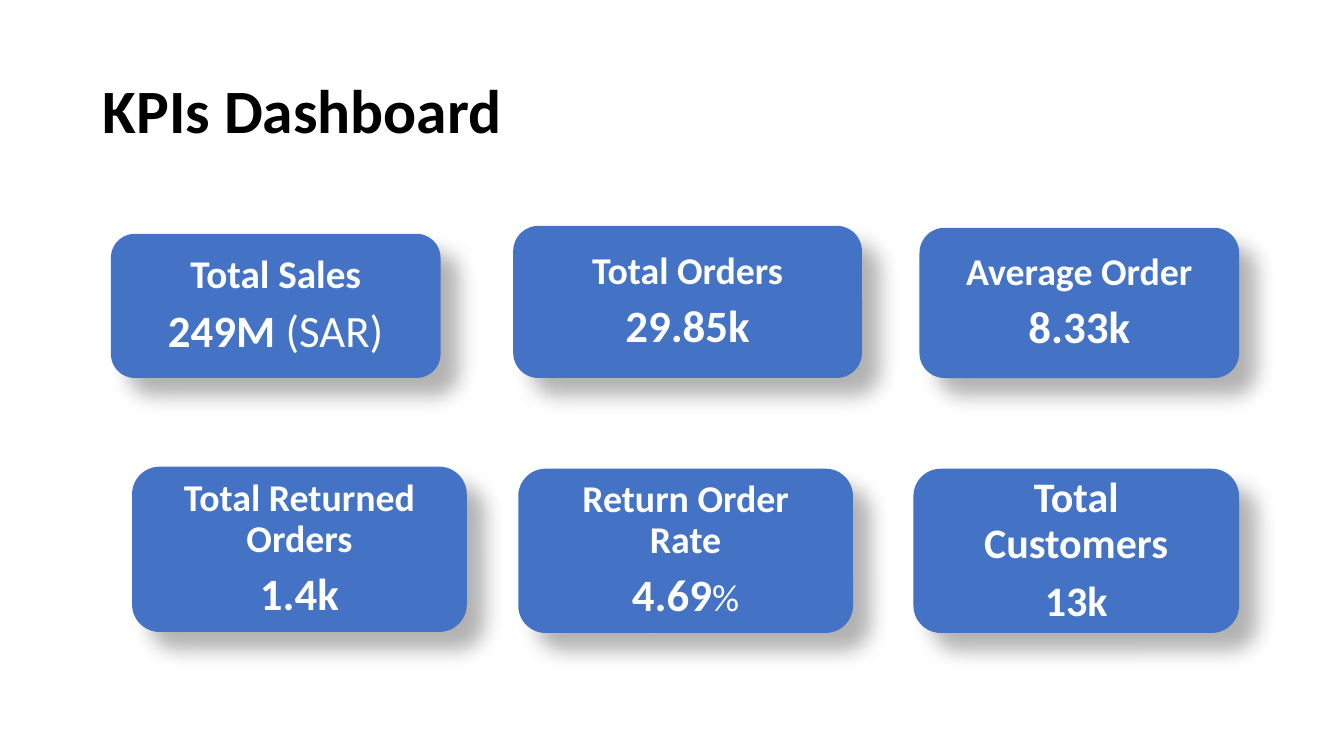
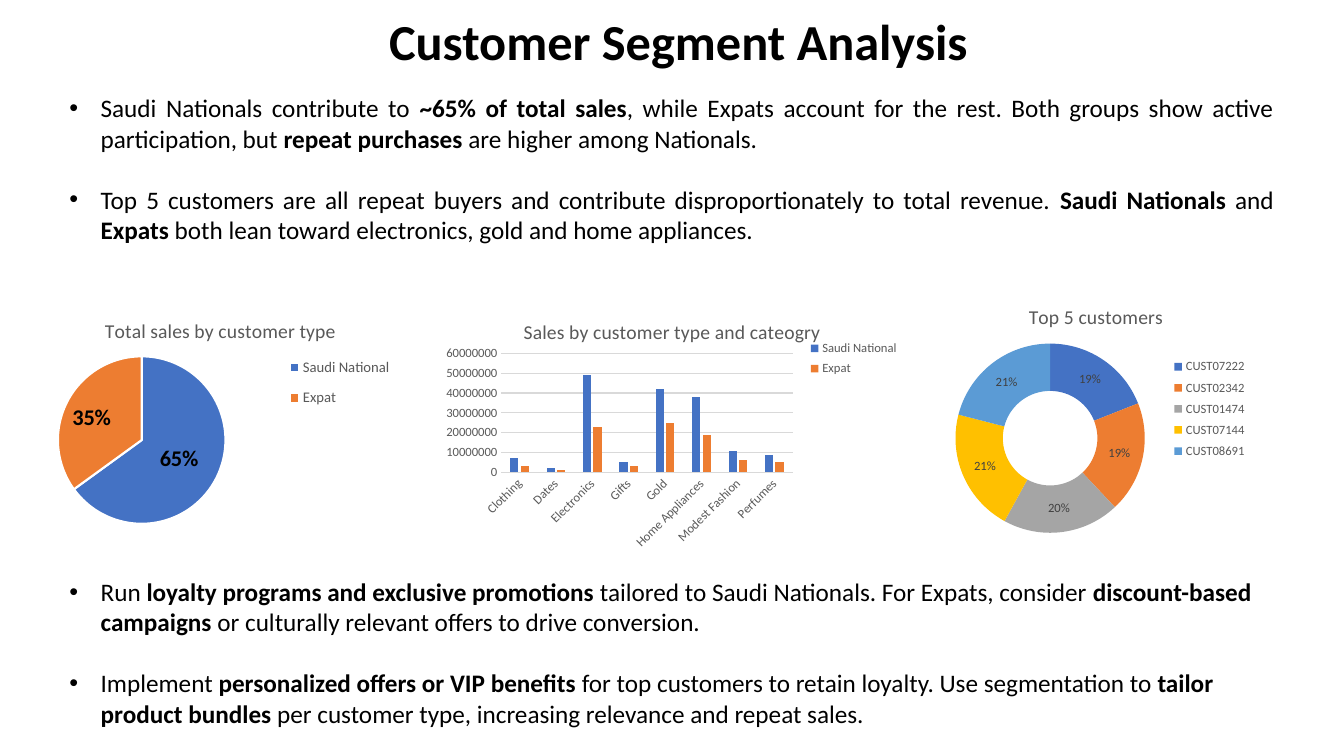
from lxml import etree
from pptx import Presentation
from pptx.chart.data import CategoryChartData
from pptx.dml.color import RGBColor
from pptx.enum.chart import XL_CHART_TYPE, XL_LABEL_POSITION, XL_LEGEND_POSITION, XL_TICK_MARK
from pptx.enum.shapes import MSO_SHAPE
from pptx.enum.text import MSO_ANCHOR, MSO_AUTO_SIZE, PP_ALIGN
from pptx.oxml import parse_xml
from pptx.oxml.ns import nsdecls, qn
from pptx.util import Inches, Pt

PIE, COLUMN, DOUGHNUT = XL_CHART_TYPE.PIE, XL_CHART_TYPE.COLUMN_CLUSTERED, XL_CHART_TYPE.DOUGHNUT
LEFT, CENTER, JUSTIFY = PP_ALIGN.LEFT, PP_ALIGN.CENTER, PP_ALIGN.JUSTIFY
MIDDLE, TOP, NO_FIT = MSO_ANCHOR.MIDDLE, MSO_ANCHOR.TOP, MSO_AUTO_SIZE.NONE
ROUNDED = MSO_SHAPE.ROUNDED_RECTANGLE
LABEL_CENTER, LABEL_END = XL_LABEL_POSITION.CENTER, XL_LABEL_POSITION.INSIDE_END
LEGEND_RIGHT, NO_TICK = XL_LEGEND_POSITION.RIGHT, XL_TICK_MARK.NONE

# Shared look
FONT = "Calibri"
BLACK, WHITE, GREY, DARK, GRID = "000000", "FFFFFF", "595959", "404040", "D9D9D9"
BLUE = "4472C4"
PALETTE = [BLUE, "ED7D31", "A5A5A5", "FFC000", "5B9BD5"]

# Slide 1: place, label, label size, then (text, size, bold) for the value
CARDS = [
    ((1.1, 2.32, 3.27, 1.43), "Total Sales", 28, [("249M", 32, True), (" (SAR)", 32, False)]),
    ((5.09, 2.24, 3.46, 1.51), "Total Orders", 27, [("29.85k", 32, True)]),
    ((9.12, 2.26, 3.17, 1.49), "Average Order", 27, [("8.33k", 32, True)]),
    ((1.31, 4.63, 3.32, 1.64), "Total Returned Orders", 27, [("1.4k", 32, True)]),
    ((5.14, 4.65, 3.32, 1.63), "Return Order Rate", 27, [("4.69", 32, True), ("%", 27, False)]),
    ((9.06, 4.65, 3.23, 1.63), "Total Customers", 30, [("13k", 30, True)]),
]

# Slide 2: bullets as runs, every second run bold
FINDINGS = [
    ["Saudi Nationals contribute to ", "~65% of total sales",
     ", while Expats account for the rest. Both groups show active participation, but ",
     "repeat purchases", " are higher among Nationals."],
    ["Top 5 customers are all repeat buyers and contribute disproportionately to total revenue. ",
     "Saudi Nationals", " and ", "Expats",
     " both lean toward electronics, gold and home appliances."],
]
ACTIONS = [
    ["Run ", "loyalty programs and exclusive promotions",
     " tailored to Saudi Nationals. For Expats, consider ", "discount-based campaigns",
     " or culturally relevant offers to drive conversion."],
    ["Implement ", "personalized offers or VIP benefits",
     " for top customers to retain loyalty. Use segmentation to ", "tailor product bundles",
     " per customer type, increasing relevance and repeat sales."],
]

# Charts: layouts are fractions of the chart (left, top, width, height)
SALES_SHARE = {
    "kind": PIE, "place": (0.35, 2.94, 3.64, 2.48), "title": "Total sales by customer type",
    "categories": ["Saudi National", "Expat"], "series": [("Series 1", [65, 35])],
    "title_at": (0.18, 0.07), "plot": (0.06, 0.24, 0.46, 0.67),
    "legend": (0.68, 0.2, 0.3, 0.29), "legend_size": 10.5,
}
CATEGORY_SALES = {
    "kind": COLUMN, "place": (4.32, 2.94, 4.66, 2.57),
    "title": "Sales by customer type and cateogry",
    "categories": ["Clothing", "Dates", "Electronics", "Gifts", "Gold", "Home Appliances",
                   "Modest Fashion", "Perfumes"],
    "series": [("Saudi National", [millions * 10**6 for millions in (7, 2, 49, 5, 42, 38, 11, 9)]),
               ("Expat", [millions * 10**6 for millions in (3, 1, 23, 3, 25, 19, 6, 5)])],
    "title_at": (0.18, 0.07), "plot": (0.14, 0.22, 0.62, 0.46),
    "legend": (0.78, 0.15, 0.22, 0.18), "legend_size": 9,
}
TOP_CUSTOMERS = {
    "kind": DOUGHNUT, "place": (8.39, 2.79, 4.94, 2.64), "title": "Top 5 customers",
    "categories": ["CUST07222", "CUST02342", "CUST01474", "CUST07144", "CUST08691"],
    "series": [("Series 1", [19, 19, 20, 21, 21])],
    "title_at": (0.36, 0.07), "plot": (0.22, 0.23, 0.38, 0.72),
    "legend": (0.64, 0.27, 0.18, 0.42), "legend_size": 9,
}


def color(value):
    return RGBColor.from_string(value)


def inches(values):
    return [Inches(value) for value in values]


def apply(target, values):
    for name, value in values.items():
        setattr(target, name, value)


def style(font, size, text_color, bold=False):
    apply(font, {"name": FONT, "size": Pt(size), "bold": bold})
    font.color.rgb = color(text_color)


def add_span(para, text, size, text_color, bold=False):
    span = para.add_run()
    span.text = text
    style(span.font, size, text_color, bold)


def add_page(deck, title, place, size, align):
    page = deck.slides.add_slide(deck.slide_layouts[5])
    box = page.shapes.title
    apply(box, dict(zip(("left", "top", "width", "height"), inches(place))))
    apply(box.text_frame, {"vertical_anchor": MIDDLE, "auto_size": NO_FIT, "word_wrap": True})
    para = box.text_frame.paragraphs[0]
    apply(para, {"alignment": align, "line_spacing": 0.9})
    add_span(para, title, size, BLACK, True)
    return page


def add_card(page, place, label, label_size, value):
    card = page.shapes.add_shape(ROUNDED, *inches(place))
    card.fill.solid()
    card.fill.fore_color.rgb = color(BLUE)
    card.line.fill.background()
    # Soft shadow to the lower right
    card._element.spPr.append(parse_xml(
        f'<a:effectLst {nsdecls("a")}><a:outerShdw blurRad="{Pt(15)}" dist="{Pt(18)}" '
        f'dir="2700000" algn="tl" rotWithShape="0"><a:srgbClr val="{BLACK}">'
        '<a:alpha val="30000"/></a:srgbClr></a:outerShdw></a:effectLst>'))
    frame = card.text_frame
    margins = ("margin_left", "margin_right", "margin_top", "margin_bottom")
    apply(frame, dict.fromkeys(margins, Inches(0.18)))
    apply(frame, {"word_wrap": True, "vertical_anchor": MIDDLE})
    for para, spans in ((frame.paragraphs[0], [(label, label_size, True)]),
                        (frame.add_paragraph(), value)):
        apply(para, {"alignment": CENTER, "line_spacing": 0.9,
                     "space_after": Pt(round(label_size * 0.3))})
        for text, size, bold in spans:
            add_span(para, text, size, WHITE, bold)


def add_bullets(page, place, bullets, align):
    frame = page.shapes.add_textbox(*inches(place)).text_frame
    apply(frame, {"word_wrap": True, "vertical_anchor": TOP})
    for index, spans in enumerate(bullets):
        para = frame.add_paragraph() if index else frame.paragraphs[0]
        apply(para, {"alignment": align, "space_before": Pt(22 if index else 0)})
        properties = para._p.get_or_add_pPr()
        properties.set("marL", str(Inches(0.31)))
        properties.set("indent", str(-Inches(0.31)))
        properties.append(parse_xml(f'<a:buFont {nsdecls("a")} typeface="Arial"/>'))
        properties.append(parse_xml(f'<a:buChar {nsdecls("a")} char="•"/>'))
        for position, text in enumerate(spans):
            add_span(para, text, 18, BLACK, position % 2 == 1)


def set_layout(parent, index, fractions, inner=False):
    for old in parent.findall(qn("c:layout")):
        parent.remove(old)
    layout = etree.Element(qn("c:layout"))
    manual = etree.SubElement(layout, qn("c:manualLayout"))
    settings = [("layoutTarget", "inner")] if inner else []
    settings += [("xMode", "edge"), ("yMode", "edge"), *zip("xywh", fractions)]
    for name, value in settings:
        etree.SubElement(manual, qn(f"c:{name}")).set("val", str(value))
    parent.insert(index, layout)


def add_chart(page, info):
    data = CategoryChartData(number_format="0")
    data.categories = info["categories"]
    for name, values in info["series"]:
        data.add_series(name, values)
    chart = page.shapes.add_chart(info["kind"], *inches(info["place"]), data).chart
    style(chart.font, 10, BLACK)
    # Title and legend
    add_span(chart.chart_title.text_frame.paragraphs[0], info["title"], 14, GREY)
    chart.chart_title.include_in_layout = False
    chart.has_legend = True
    apply(chart.legend, {"position": LEGEND_RIGHT, "include_in_layout": False})
    style(chart.legend.font, info["legend_size"], GREY)
    # Places inside the chart
    space = chart.element
    set_layout(space.find(".//" + qn("c:title")), 1, info["title_at"])
    set_layout(space.find(".//" + qn("c:legend")), 1, info["legend"])
    set_layout(space.find(".//" + qn("c:plotArea")), 0, info["plot"], True)
    return chart


def fill_slices(chart, label_size, label_color, bold):
    plot = chart.plots[0]
    plot.vary_by_categories = True
    series = plot.series[0]
    for index in range(len(plot.categories)):
        fill = series.points[index].format.fill
        fill.solid()
        fill.fore_color.rgb = color(PALETTE[index])
    labels = series.data_labels
    apply(labels, {"show_value": False, "show_percentage": True,
                   "number_format": "0%", "number_format_is_linked": False})
    style(labels.font, label_size, label_color, bold)
    return series


def format_pie(chart):
    series = fill_slices(chart, 16, BLACK, True)
    for index in range(2):
        line = series.points[index].format.line
        line.color.rgb = color(WHITE)
        line.width = Pt(1.5)
    series.data_labels.position = LABEL_END
    # The larger slice carries its label in the middle
    label = series.points[0].data_label
    style(label.font, 16, BLACK, True)
    label.position = LABEL_CENTER
    for node in chart.element.iter(qn("c:dLbl")):
        node.find(qn("c:showVal")).set("val", "0")
        node.find(qn("c:showPercent")).set("val", "1")


def format_columns(chart):
    plot = chart.plots[0]
    apply(plot, {"vary_by_categories": False, "gap_width": 219, "overlap": -27})
    for series, fill_color in zip(plot.series, PALETTE):
        series.format.fill.solid()
        series.format.fill.fore_color.rgb = color(fill_color)
    category_axis, value_axis = chart.category_axis, chart.value_axis
    for axis in (category_axis, value_axis):
        apply(axis, {"major_tick_mark": NO_TICK, "minor_tick_mark": NO_TICK})
        style(axis.tick_labels.font, 9, GREY)
    apply(value_axis, {"minimum_scale": 0, "maximum_scale": 60000000, "major_unit": 10000000})
    apply(value_axis.tick_labels, {"number_format": "0", "number_format_is_linked": False})
    value_axis.format.line.fill.background()
    for line in (category_axis.format.line, value_axis.major_gridlines.format.line):
        line.color.rgb = color(GRID)
        line.width = Pt(0.75)
    category_text = chart.element.find(".//" + qn("c:catAx") + "/" + qn("c:txPr"))
    category_text.find(qn("a:bodyPr")).set("rot", "-2700000")


def main():
    deck = Presentation()
    deck.slide_width, deck.slide_height = inches((13.33, 7.5))

    # Key figures
    page = add_page(deck, "KPIs Dashboard", (0.92, 0.4, 11.5, 1.45), 44, LEFT)
    for card in CARDS:
        add_card(page, *card)

    # Customer segments
    page = add_page(deck, "Customer Segment Analysis", (0.66, 0.12, 12.14, 0.64), 36, CENTER)
    add_bullets(page, (0.59, 0.87, 12.14, 1.92), FINDINGS, JUSTIFY)
    format_pie(add_chart(page, SALES_SHARE))
    format_columns(add_chart(page, CATEGORY_SALES))
    fill_slices(add_chart(page, TOP_CUSTOMERS), 9, DARK, False)
    add_bullets(page, (0.59, 5.67, 12.25, 1.62), ACTIONS, LEFT)

    deck.save("out.pptx")


if __name__ == "__main__":
    main()
